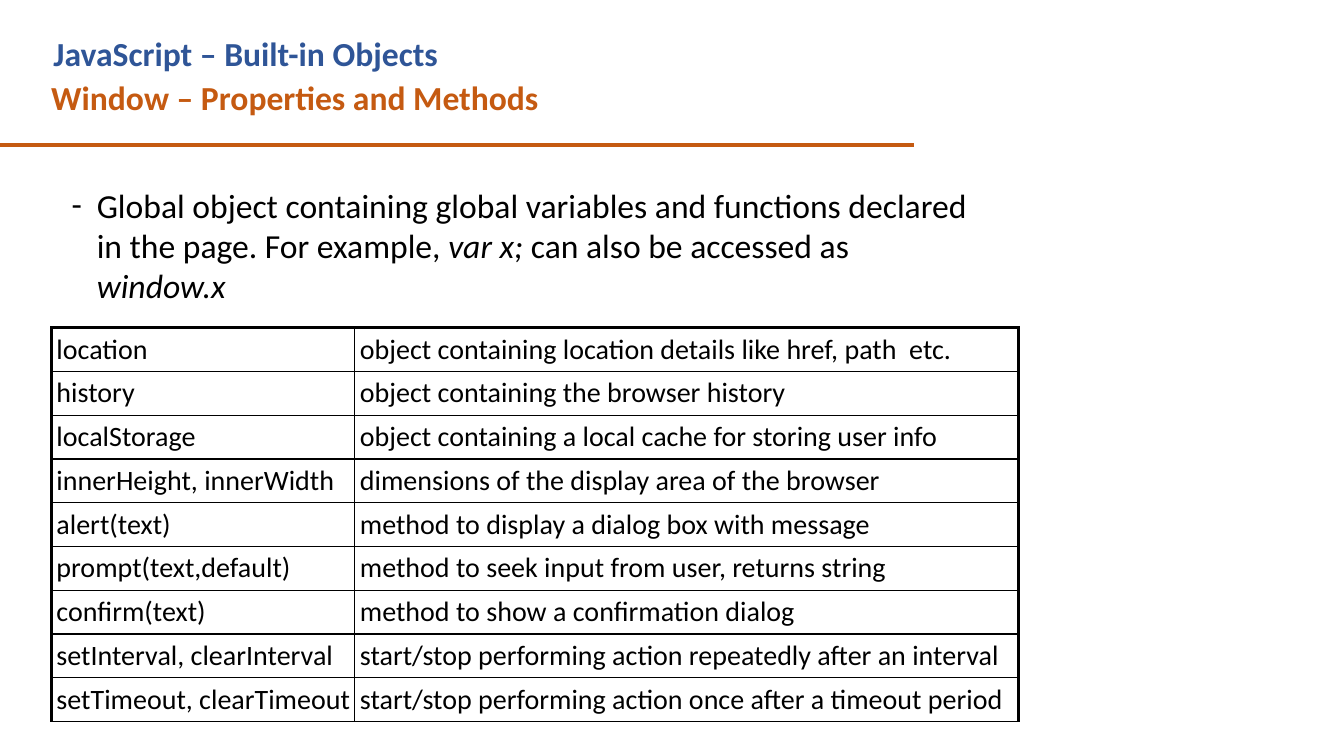
"""Build the slide on the properties and methods of the JavaScript window object."""
from lxml import etree
from pptx import Presentation
from pptx.dml.color import RGBColor
from pptx.enum.shapes import MSO_CONNECTOR
from pptx.enum.text import MSO_ANCHOR, MSO_AUTO_SIZE, PP_ALIGN
from pptx.oxml.ns import qn
from pptx.util import Inches, Pt

STRAIGHT = MSO_CONNECTOR.STRAIGHT
TOP, MIDDLE = MSO_ANCHOR.TOP, MSO_ANCHOR.MIDDLE
LEFT = PP_ALIGN.LEFT
NO_AUTOFIT = MSO_AUTO_SIZE.NONE

FONT = "Calibri"
COLORS = {"blue": "2F5597", "orange": "C55A11", "black": "000000"}
THIN, THICK = Pt(1), Pt(2.25)

MEMBERS = [
    ("location", "object containing location details like href, path  etc."),
    ("history", "object containing the browser history"),
    ("localStorage", "object containing a local cache for storing user info"),
    ("innerHeight, innerWidth", "dimensions of the display area of the browser"),
    ("alert(text)", "method to display a dialog box with message"),
    ("prompt(text,default)", "method to seek input from user, returns string"),
    ("confirm(text)", "method to show a confirmation dialog"),
    ("setInterval, clearInterval", "start/stop performing action repeatedly after an interval"),
    ("setTimeout, clearTimeout", "start/stop performing action once after a timeout period"),
]
DESCRIPTION = [
    ("Global object containing global variables and functions declared in the page. For example, ", False),
    ("var x;", True),
    (" can also be accessed as ", False),
    ("window.x", True),
]


def place(shape, left, top, width, height):
    """Position a text shape and give its frame common settings."""
    shape.left, shape.top = Inches(left), Inches(top)
    shape.width, shape.height = Inches(width), Inches(height)
    shape.text_frame.word_wrap = True
    shape.text_frame.auto_size = NO_AUTOFIT
    shape.text_frame.vertical_anchor = TOP


def style(run, size, color, bold=False, italic=False):
    """Format one run."""
    run.font.name, run.font.size = FONT, Pt(size)
    run.font.bold, run.font.italic = bold, italic
    run.font.color.rgb = RGBColor.from_string(COLORS[color])


presentation = Presentation()
presentation.slide_width, presentation.slide_height = Inches(13.33), Inches(7.5)
slide = presentation.slides.add_slide(presentation.slide_layouts[1])

body = slide.placeholders[1]
place(body, 0.61, 1.78, 9.11, 5.25)
paragraph = body.text_frame.paragraphs[0]
paragraph.space_before = Pt(0)
for text, italic in DESCRIPTION:
    run = paragraph.add_run()
    run.text = text
    style(run, 24, "black", italic=italic)
properties = paragraph._p.get_or_add_pPr()
properties.set("marL", str(Inches(0.25)))
properties.set("indent", str(-Inches(0.25)))
etree.SubElement(properties, qn("a:buFont"), typeface=FONT)
etree.SubElement(properties, qn("a:buChar"), char="-")

title = slide.shapes.title
place(title, 0.43, 0.28, 8.2, 0.5)
subtitle = slide.shapes.add_textbox(0, 0, 0, 0)
place(subtitle, 0.41, 0.71, 8.75, 0.5)
for heading, text, color in [
    (title, "JavaScript – Built-in Objects", "blue"),
    (subtitle, "Window – Properties and Methods", "orange"),
]:
    heading.text_frame.text = text
    paragraph = heading.text_frame.paragraphs[0]
    paragraph.alignment = LEFT
    style(paragraph.runs[0], 24, color, bold=True)

rule = slide.shapes.add_connector(STRAIGHT, Inches(-0.01), Inches(1.44), Inches(9.07), Inches(1.44))
rule.line.color.rgb = RGBColor.from_string(COLORS["orange"])
rule.line.width = Pt(3)
etree.SubElement(rule._element.spPr, qn("a:effectLst"))

row_height = Inches(3.9) // len(MEMBERS)
frame = slide.shapes.add_table(len(MEMBERS), 2, Inches(0.51), Inches(3.25), Inches(9.6), Inches(3.9))
table = frame.table
table.first_row = table.horz_banding = False
table.columns[0].width, table.columns[1].width = Inches(3.01), Inches(6.58)

for row_index, member in enumerate(MEMBERS):
    table.rows[row_index].height = row_height
    for column_index, text in enumerate(member):
        cell = table.cell(row_index, column_index)
        cell.text_frame.text = text
        style(cell.text_frame.paragraphs[0].runs[0], 20, "black")
        cell.vertical_anchor = MIDDLE
        cell.margin_left, cell.margin_right = Inches(0.05), 0
        cell.margin_top = cell.margin_bottom = Pt(3.4)
        borders = {
            "a:lnL": THICK if column_index == 0 else THIN,
            "a:lnR": THICK if column_index == 1 else THIN,
            "a:lnT": THICK if row_index == 0 else THIN,
            "a:lnB": THIN,
        }
        cell_properties = cell._tc.get_or_add_tcPr()
        for edge, width in borders.items():
            line = etree.SubElement(cell_properties, qn(edge), w=str(width))
            fill = etree.SubElement(line, qn("a:solidFill"))
            etree.SubElement(fill, qn("a:srgbClr"), val=COLORS["black"])
        cell.fill.background()

presentation.save("out.pptx")
